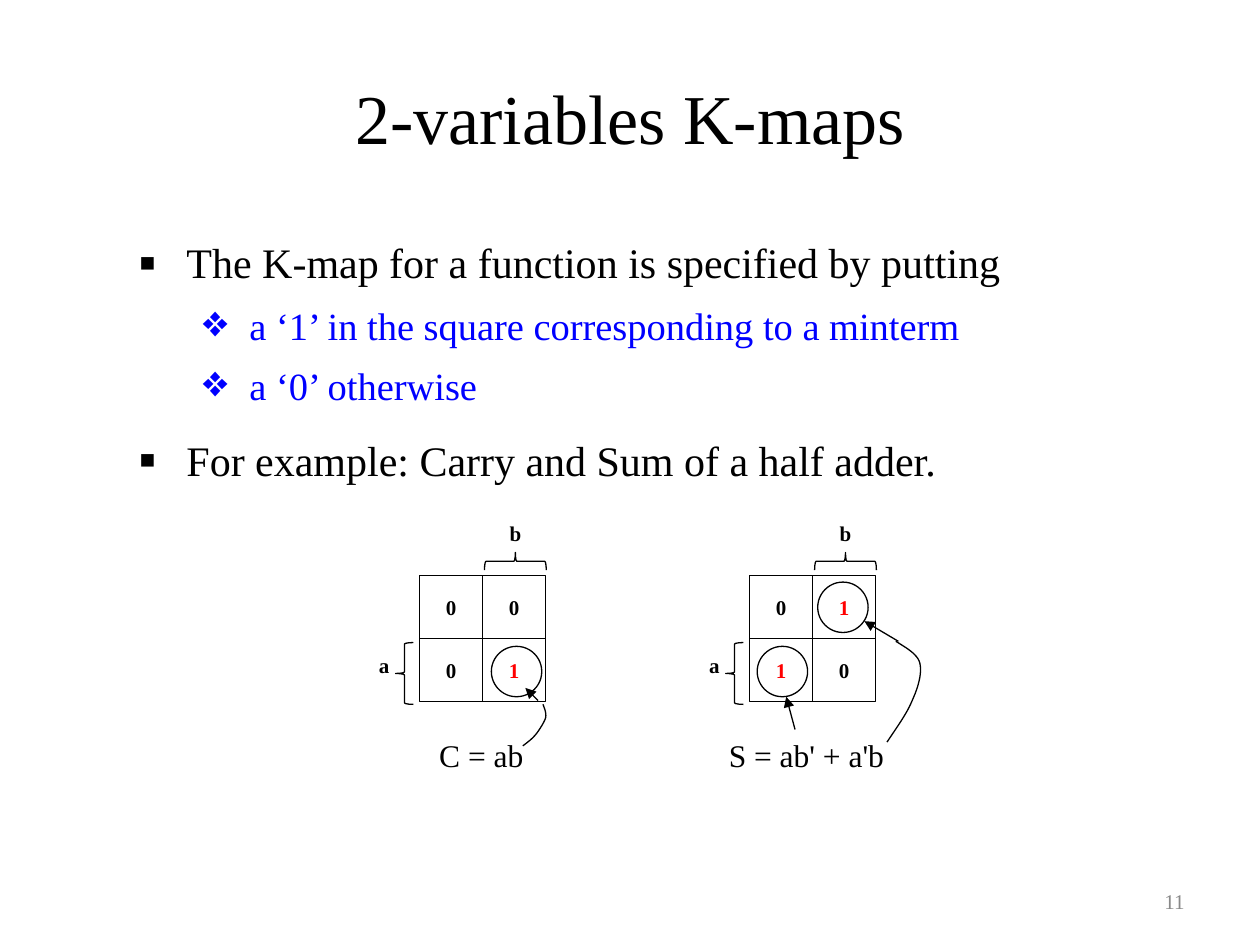
from lxml import etree
from pptx import Presentation
from pptx import util as u
from pptx.dml.color import RGBColor
from pptx.enum import shapes, text
from pptx.oxml.ns import qn

BLACK = RGBColor(0x00, 0x00, 0x00)
BLUE = RGBColor(0x00, 0x00, 0xFF)
RED = RGBColor(0xFF, 0x00, 0x00)
GREY = RGBColor(0x89, 0x89, 0x89)

CELL = 0.5
CIRCLE = 0.4
MAP_TOP = 4.57
CARRY_LEFT, SUM_LEFT = 3.33, 5.95


def curve_points(start, *segments, steps=12):
    """Points along cubic Bezier segments, each given as three (x, y) pairs."""
    points = [start]
    for first, second, end in segments:
        origin = points[-1]
        for step in range(1, steps + 1):
            t = step / steps
            weights = ((1 - t) ** 3, 3 * t * (1 - t) ** 2, 3 * t * t * (1 - t), t ** 3)
            corners = (origin, first, second, end)
            points.append(tuple(sum(w * c[axis] for w, c in zip(weights, corners))
                                for axis in (0, 1)))
    return points


class SlideBuilder:
    """Holds the current slide and the style shared by its elements."""
    font = "Times New Roman"
    line_width = u.Pt(0.75)

    def __init__(self, slide):
        self.slide = slide

    def format_runs(self, paragraph, size, color, bold=False):
        for run in paragraph.runs:
            run.font.name = self.font
            run.font.size = u.Pt(size)
            run.font.bold = bold
            run.font.color.rgb = color

    def place(self, element, left, top, width, height):
        element.left, element.top = u.Inches(left), u.Inches(top)
        element.width, element.height = u.Inches(width), u.Inches(height)

    def title(self, wording, box):
        heading = self.slide.shapes.title
        self.place(heading, *box)
        heading.text_frame.text = wording
        heading.text_frame.vertical_anchor = text.MSO_ANCHOR.MIDDLE
        paragraph = heading.text_frame.paragraphs[0]
        paragraph.alignment = text.PP_ALIGN.CENTER
        self.format_runs(paragraph, 40, BLACK)

    def bullet(self, paragraph, mark, color, percent, margin, hanging):
        properties = paragraph._p.get_or_add_pPr()
        properties.set("marL", str(u.Inches(margin)))
        properties.set("indent", str(-u.Inches(hanging)))
        tint = etree.SubElement(properties, qn("a:buClr"))
        etree.SubElement(tint, qn("a:srgbClr"), val=str(color))
        etree.SubElement(properties, qn("a:buSzPct"), val=str(percent * 1000))
        etree.SubElement(properties, qn("a:buFont"), typeface=self.font)
        etree.SubElement(properties, qn("a:buChar"), char=mark)

    def body(self, items, box):
        """Fill the body placeholder from (level, space before, wording) items."""
        outline = self.slide.placeholders[1]
        self.place(outline, *box)
        frame = outline.text_frame
        frame.auto_size = text.MSO_AUTO_SIZE.NONE
        frame.text = "\n".join(wording for _, _, wording in items)
        for paragraph, (level, space, _) in zip(frame.paragraphs, items):
            paragraph.level = level
            if level:
                self.bullet(paragraph, "❖", BLUE, 90, 0.88, 0.38)
                self.format_runs(paragraph, 22, BLUE)
            else:
                self.bullet(paragraph, "▪", BLACK, 120, 0.38, 0.38)
                self.format_runs(paragraph, 24, BLACK)
            paragraph.space_before = u.Pt(space)

    def label(self, wording, left, top, width, height=0.4, size=12, color=BLACK,
              bold=True, align=text.PP_ALIGN.CENTER, anchor=text.MSO_ANCHOR.TOP):
        box = self.slide.shapes.add_textbox(
            u.Inches(left), u.Inches(top), u.Inches(width), u.Inches(height))
        frame = box.text_frame
        frame.word_wrap = True
        frame.vertical_anchor = anchor
        frame.text = wording
        frame.paragraphs[0].alignment = align
        self.format_runs(frame.paragraphs[0], size, color, bold)

    def outline_only(self, shape):
        shape.shadow.inherit = False
        shape.fill.background()
        shape.line.color.rgb = BLACK
        shape.line.width = self.line_width

    def outlined(self, kind, left, top, width, height, rotation=0):
        shape = self.slide.shapes.add_shape(
            kind, u.Inches(left), u.Inches(top), u.Inches(width), u.Inches(height))
        shape.rotation = rotation
        self.outline_only(shape)

    def circle(self, left, top):
        self.outlined(shapes.MSO_SHAPE.OVAL, left, top, CIRCLE, CIRCLE)

    def line(self, start, end, arrow=False):
        connector = self.slide.shapes.add_connector(
            shapes.MSO_CONNECTOR.STRAIGHT, *(u.Inches(v) for v in (*start, *end)))
        connector.line.color.rgb = BLACK
        connector.line.width = self.line_width
        if arrow:
            etree.SubElement(connector.line._get_or_add_ln(), qn("a:tailEnd"), type="triangle")
        etree.SubElement(connector._element.spPr, qn("a:effectLst"))

    def curve(self, start, *segments):
        points = [(u.Inches(x), u.Inches(y)) for x, y in curve_points(start, *segments)]
        builder = self.slide.shapes.build_freeform(*points[0])
        builder.add_line_segments(points[1:], close=False)
        self.outline_only(builder.convert_to_shape())

    def k_map(self, left, rows):
        """A two-by-two map with braces marking row a and column b."""
        side = 2 * CELL
        middle_x, middle_y = left + CELL, MAP_TOP + CELL
        self.outlined(shapes.MSO_SHAPE.RECTANGLE, left, MAP_TOP, side, side)
        self.line((left, middle_y), (left + side, middle_y))
        self.line((middle_x, MAP_TOP), (middle_x, MAP_TOP + side))
        for row, values in enumerate(rows):
            for column, value in enumerate(values):
                self.label(value, left + column * CELL, MAP_TOP + 0.1 + row * CELL, CELL,
                           color=RED if value == "1" else BLACK)
        self.label("a", left - 0.5, MAP_TOP + 0.56, 0.44)
        self.label("b", left + 0.54, MAP_TOP - 0.49, 0.44, 0.32)
        brace = shapes.MSO_SHAPE.LEFT_BRACE
        self.outlined(brace, left - 0.19, MAP_TOP + 0.53, 0.14, 0.49)
        self.outlined(brace, left + 0.69, MAP_TOP - 0.36, 0.14, 0.49, rotation=90)


def main():
    deck = Presentation()
    deck.slide_width, deck.slide_height = u.Inches(10), u.Inches(7.5)
    page = SlideBuilder(deck.slides.add_slide(deck.slide_layouts[1]))

    page.title("2-variables K-maps", (0.5, 0.3, 9, 1.25))
    page.body([
        (0, 0, "The K-map for a function is specified by putting"),
        (1, 8.2, "a ‘1’ in the square corresponding to a minterm"),
        (1, 8.2, "a ‘0’ otherwise"),
        (0, 15, "For example: Carry and Sum of a half adder."),
    ], (1, 1.83, 8.07, 2.08))
    page.label("11", 7.17, 6.95, 2.33, color=GREY, bold=False,
               align=text.PP_ALIGN.RIGHT, anchor=text.MSO_ANCHOR.MIDDLE)

    page.k_map(CARRY_LEFT, ("00", "01"))
    page.k_map(SUM_LEFT, ("01", "10"))
    for formula, left in (("C = ab", 3.01), ("S = ab' + a'b", 5.59)):
        page.label(formula, left, 5.79, 1.62, size=18, bold=False)

    for left, top in ((3.9, 5.13), (6.01, 5.13), (6.49, 4.62)):
        page.circle(left, top)
    for start, end in (((4.27, 5.56), (4.17, 5.46)),
                       ((6.31, 5.79), (6.24, 5.53)),
                       ((7.13, 5.09), (6.86, 4.93))):
        page.line(start, end, arrow=True)
    page.curve((4.31, 5.59),
               ((4.32, 5.62), (4.34, 5.66), (4.33, 5.7)),
               ((4.32, 5.73), (4.29, 5.78), (4.26, 5.82)),
               ((4.23, 5.86), (4.19, 5.89), (4.15, 5.92)))
    page.curve((7.11, 5.09),
               ((7.19, 5.14), (7.28, 5.19), (7.3, 5.26)),
               ((7.32, 5.34), (7.29, 5.45), (7.24, 5.56)),
               ((7.2, 5.66), (7.12, 5.77), (7.04, 5.89)))

    deck.save("out.pptx")


if __name__ == "__main__":
    main()
